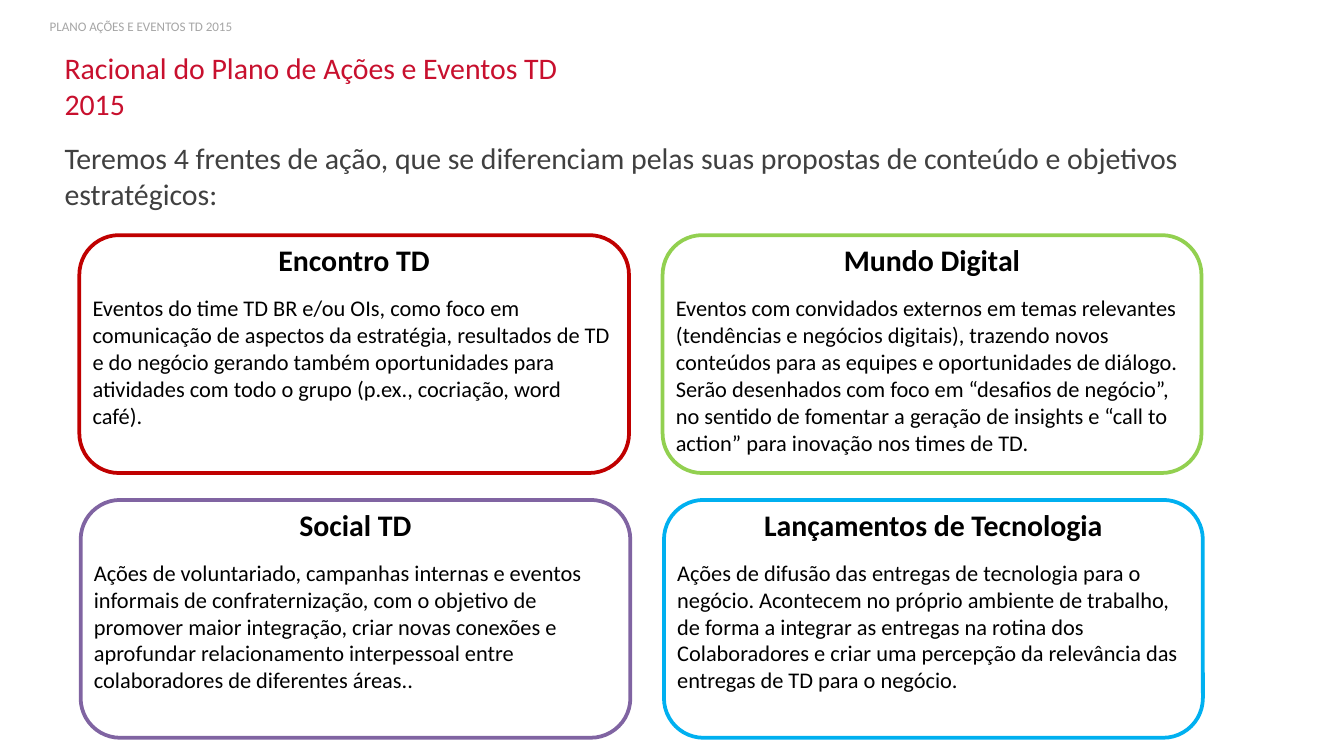
from dataclasses import dataclass

from pptx import Presentation
from pptx.dml.color import RGBColor
from pptx.enum import shapes, text
from pptx.util import Inches, Pt


@dataclass(frozen=True)
class Theme:
    """Hold the colours, font and type sizes of the slide."""
    font: str = "Calibri"
    title: str = "C8102E"
    lead: str = "404040"
    label: str = "A6A6A6"
    ink: str = "000000"
    red: str = "C00000"
    green: str = "92D050"
    purple: str = "8064A2"
    blue: str = "00B0F0"
    heading_size: int = 16
    body_size: int = 12
    label_size: int = 7
    outline: int = 2


THEME = Theme()
LEFT, CENTER = text.PP_ALIGN.LEFT, text.PP_ALIGN.CENTER

CARDS = [
    (0.59, 1.75, 4.09, THEME.red, "Encontro TD",
     "Eventos do time TD BR e/ou OIs, como foco em comunicação de aspectos da "
     "estratégia, resultados de TD e do negócio gerando também oportunidades para "
     "atividades com todo o grupo (p.ex., cocriação, word café)."),
    (4.93, 1.75, 4.01, THEME.green, "Mundo Digital",
     "Eventos com convidados externos em temas relevantes (tendências e negócios "
     "digitais), trazendo novos conteúdos para as equipes e oportunidades de diálogo. "
     "Serão desenhados com foco em “desafios de negócio”, no sentido de fomentar a "
     "geração de insights e “call to action” para inovação nos times de TD."),
    (0.6, 3.72, 4.09, THEME.purple, "Social TD",
     "Ações de voluntariado, campanhas internas e eventos informais de "
     "confraternização, com o objetivo de promover maior integração, criar novas "
     "conexões e aprofundar relacionamento interpessoal entre colaboradores de "
     "diferentes áreas.."),
    (4.94, 3.72, 4.01, THEME.blue, "Lançamentos de Tecnologia",
     "Ações de difusão das entregas de tecnologia para o negócio. Acontecem no "
     "próprio ambiente de trabalho, de forma a integrar as entregas na rotina dos "
     "Colaboradores e criar uma percepção da relevância das entregas de TD para o "
     "negócio."),
]
CARD_HEIGHT = 1.77


def write(sp, words, size, color, bold=False, align=LEFT, inset=(0.1, 0.05)):
    """Fill a shape with one formatted paragraph."""
    tf = sp.text_frame
    tf.text = words
    tf.word_wrap = True
    tf.auto_size = text.MSO_AUTO_SIZE.NONE
    tf.vertical_anchor = text.MSO_ANCHOR.TOP
    tf.margin_left = tf.margin_right = Inches(inset[0])
    tf.margin_top = tf.margin_bottom = Inches(inset[1])
    p = tf.paragraphs[0]
    p.alignment = align
    font = p.runs[0].font
    font.name, font.size, font.bold = THEME.font, Pt(size), bold
    font.color.rgb = RGBColor.from_string(color)


def add_text(s, x, y, w, h, *args, **kwargs):
    """Add a text box at the given place in inches."""
    sp = s.shapes.add_textbox(Inches(x), Inches(y), Inches(w), Inches(h))
    write(sp, *args, **kwargs)


def add_header(s, x, y, w, h):
    """Place the running label, title and lead sentence in the header box."""
    inset = (0.09, 0.04)
    sp = s.shapes.title
    sp.left, sp.top = Inches(x + 0.11), Inches(y + 0.23)
    sp.width, sp.height = Inches(4.03), Inches(0.64)
    write(sp, "Racional do Plano de Ações e Eventos TD 2015",
          THEME.heading_size, THEME.title, inset=inset)
    add_text(s, x + 0.11, y + h - 0.64, w - 0.11, 0.64,
             "Teremos 4 frentes de ação, que se diferenciam pelas suas propostas "
             "de conteúdo e objetivos estratégicos:",
             THEME.heading_size, THEME.lead, inset=inset)
    add_text(s, x, y, 5.28, 0.21, "PLANO AÇÕES E EVENTOS TD 2015",
             THEME.label_size, THEME.label, inset=inset)


def add_card(s, x, y, w, h, color, heading, body):
    """Draw an outlined card with a centred heading and a description."""
    sp = s.shapes.add_shape(shapes.MSO_SHAPE.ROUNDED_RECTANGLE,
                            Inches(x), Inches(y), Inches(w), Inches(h))
    sp.shadow.inherit = False
    sp.fill.background()
    sp.line.color.rgb = RGBColor.from_string(color)
    sp.line.width = Pt(THEME.outline)
    add_text(s, x, y, w, 0.37, heading, THEME.heading_size, THEME.ink,
             bold=True, align=CENTER)
    add_text(s, x, y + 0.39, w, h - 0.46, body, THEME.body_size, THEME.ink)


def main():
    """Build and save the slide."""
    prs = Presentation()
    prs.slide_width = Inches(10)
    prs.slide_height = prs.slide_width * 9 // 16
    s = prs.slides.add_slide(prs.slide_layouts.get_by_name("Title Only"))
    add_header(s, 0.28, 0.1, 9.15, 1.54)
    for x, y, w, *content in CARDS:
        add_card(s, x, y, w, CARD_HEIGHT, *content)
    prs.save("out.pptx")


if __name__ == "__main__":
    main()
